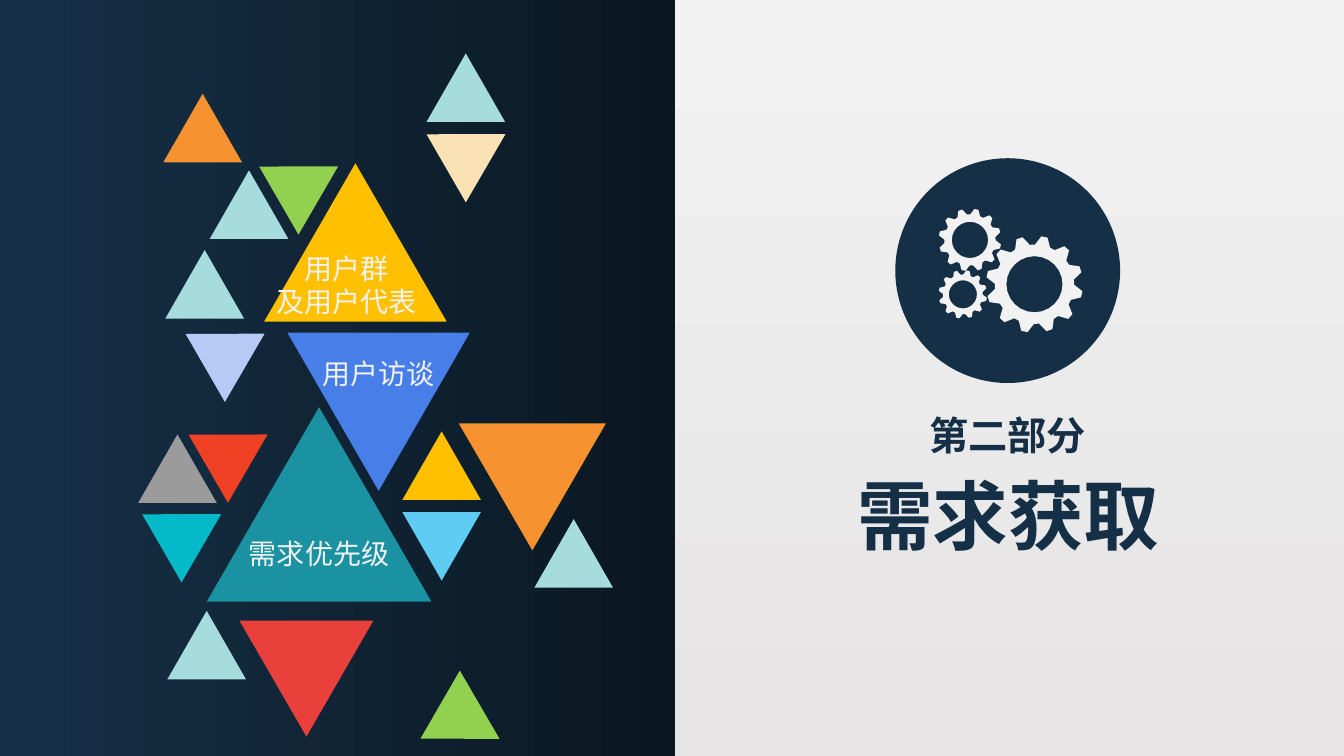
from dataclasses import dataclass
from math import cos, radians, sin, sqrt

from pptx import Presentation
from pptx.dml.color import RGBColor
from pptx.enum.shapes import MSO_SHAPE as Shape
from pptx.enum.text import MSO_ANCHOR as Anchor, MSO_AUTO_SIZE as AutoSize, PP_ALIGN as Align
from pptx.oxml.ns import qn
from pptx.oxml.xmlchemy import OxmlElement
from pptx.util import Emu, Pt

EMU_PER_PX = 9144  # 100 px to the inch


@dataclass(frozen=True)
class Theme:
    font: str = "Noto Sans CJK SC"
    title_size: int = 54
    part_size: int = 28
    label_size: int = 20
    label_leading: int = 24
    navy: str = "152F47"
    panel_start: str = "163048"
    panel_end: str = "0A1721"
    paper: str = "F2F2F2"
    paper_end: str = "E6E4E4"
    mint: str = "A7DCDE"
    lavender: str = "B5CBF5"
    blue: str = "477EE7"
    teal: str = "1A92A2"
    grey: str = "9B9B9B"
    orange: str = "F69230"
    green: str = "92D050"
    cream: str = "FAE2B5"
    turquoise: str = "05BAC8"
    gold: str = "FFC000"
    sky: str = "5ECCF3"
    vermilion: str = "F14124"
    red: str = "E9403C"


@dataclass(frozen=True)
class Box:
    left: int
    top: int
    width: int
    height: int

    def inner(self, left, top, width, height):
        return Box(self.left + left, self.top + top, width, height)

    def centred(self, top, width, height):
        return self.inner((self.width - width) // 2, top, width, height)

    def emu(self):
        return [px(n) for n in (self.left, self.top, self.width, self.height)]


THEME = Theme()

# left, top, side, rotation, colour; back to front
TRIANGLES = [
    (164, 248, 78, 0, THEME.mint),
    (423, 53, 78, 0, THEME.mint),
    (194, 314, 78, 60, THEME.lavender),
    (285, 330, 181, 180, THEME.blue),
    (205, 404, 223, 0, THEME.teal),
    (166, 606, 78, 0, THEME.mint),
    (137, 431, 78, 0, THEME.grey),
    (162, 93, 78, 0, THEME.orange),
    (208, 169, 78, 0, THEME.mint),
    (267, 148, 78, 60, THEME.green),
    (433, 116, 78, 60, THEME.cream),
    (151, 493, 78, 60, THEME.turquoise),
    (455, 420, 146, 180, THEME.orange),
    (399, 428, 78, 0, THEME.gold),
    (399, 508, 78, 180, THEME.sky),
    (197, 414, 78, 60, THEME.vermilion),
    (254, 587, 133, 60, THEME.red),
    (530, 515, 78, 0, THEME.mint),
    (262, 162, 181, 0, THEME.gold),
    (427, 682, 78, 120, THEME.green),
]

# text, then left, top, width, height
LABELS = [
    ("用户群\n及用户代表", 256, 244, 176, 77),
    ("用户访谈", 310, 348, 131, 44),
    ("需求优先级", 237, 527, 159, 44),
]

# centre and radius, relative to the badge
GEARS = [(138, 125, 48), (74, 81, 31), (67, 135, 24)]


def px(length):
    return Emu(round(length * EMU_PER_PX))


def paint(shape, colour):
    shape.shadow.inherit = False
    shape.fill.solid()
    shape.fill.fore_color.rgb = RGBColor.from_string(colour)
    shape.line.fill.background()


def shade(fill, colours, angle):
    fill.gradient()
    fill.gradient_angle = angle
    for stop, colour, position in zip(fill.gradient_stops, colours, (0, 1)):
        stop.color.rgb = RGBColor.from_string(colour)
        stop.position = position


def write(holder, text, *, box, size, colour, bold=False, leading=None):
    holder.left, holder.top, holder.width, holder.height = box.emu()
    frame = holder.text_frame
    frame.word_wrap = True
    frame.auto_size = AutoSize.NONE
    frame.vertical_anchor = Anchor.MIDDLE
    frame.margin_left = frame.margin_right = frame.margin_top = frame.margin_bottom = 0
    paragraph = frame.paragraphs[0]
    paragraph.text = text
    paragraph.alignment = Align.CENTER
    paragraph.space_before = Pt(0)
    if leading:
        paragraph.line_spacing = Pt(leading)
    for run in paragraph.runs:
        font = run.font
        font.name, font.size, font.bold = THEME.font, Pt(size), bold
        font.color.rgb = RGBColor.from_string(colour)
        east_asian = OxmlElement("a:ea")
        east_asian.set("typeface", THEME.font)
        run._r.rPr.find(qn("a:latin")).addnext(east_asian)


def add_gear(shapes, centre_x, centre_y, radius, teeth=12, tilt=-78):
    def ring(radii, count, start):
        angles = [radians(start + 360 * step / count) for step in range(count)]
        return [(px(centre_x + radii[step % len(radii)] * cos(angle)),
                 px(centre_y + radii[step % len(radii)] * sin(angle)))
                for step, angle in enumerate(angles)]

    # Each tooth has two tip corners and two root corners
    corners = 4 * teeth
    tip, root = radius, 0.82 * radius
    outline = ring((tip, tip, root, root), corners, tilt - 180 / corners)
    hole = ring((0.58 * radius,), 24, 0)
    builder = shapes.build_freeform(*outline[0], scale=1.0)
    builder.add_line_segments(outline[1:], close=True)
    builder.move_to(*hole[0])
    builder.add_line_segments(hole[1:], close=True)
    paint(builder.convert_to_shape(), THEME.paper)


def add_gear_badge(slide, box):
    shapes = slide.shapes.add_group_shape().shapes
    paint(shapes.add_shape(Shape.OVAL, *box.emu()), THEME.navy)
    for centre_x, centre_y, radius in GEARS:
        add_gear(shapes, box.left + centre_x, box.top + centre_y, radius)


def add_section_heading(slide, box):
    title, part = slide.placeholders
    write(title, "需求获取", box=box.centred(460, 320, 101),
          size=THEME.title_size, colour=THEME.navy, bold=True)
    write(part, "第二部分", box=box.centred(403, 177, 57),
          size=THEME.part_size, colour=THEME.navy, bold=True)
    add_gear_badge(slide, box.centred(157, 223, 223))


def add_triangle_panel(slide, box):
    # Dark backdrop
    panel = slide.shapes.add_shape(Shape.RECTANGLE, *box.emu())
    paint(panel, THEME.panel_start)
    shade(panel.fill, (THEME.panel_start, THEME.panel_end), 0)

    # Equilateral triangles
    for left, top, side, rotation, colour in TRIANGLES:
        place = box.inner(left, top, side, round(side * sqrt(3) / 2))
        triangle = slide.shapes.add_shape(Shape.ISOSCELES_TRIANGLE, *place.emu())
        triangle.rotation = rotation
        paint(triangle, colour)

    # Topic labels
    for text, *place in LABELS:
        label_box = box.inner(*place)
        write(slide.shapes.add_textbox(*label_box.emu()), text, box=label_box,
              size=THEME.label_size, colour=THEME.paper,
              leading=THEME.label_leading if "\n" in text else None)


def main():
    deck = Presentation()
    deck.slide_width, deck.slide_height = px(1333), px(750)
    slide = deck.slides.add_slide(deck.slide_layouts[0])
    shade(slide.background.fill, (THEME.paper, THEME.paper_end), 270)
    add_triangle_panel(slide, Box(0, 0, 669, 750))
    add_section_heading(slide, Box(667, 0, 666, 750))
    deck.save("out.pptx")


if __name__ == "__main__":
    main()
